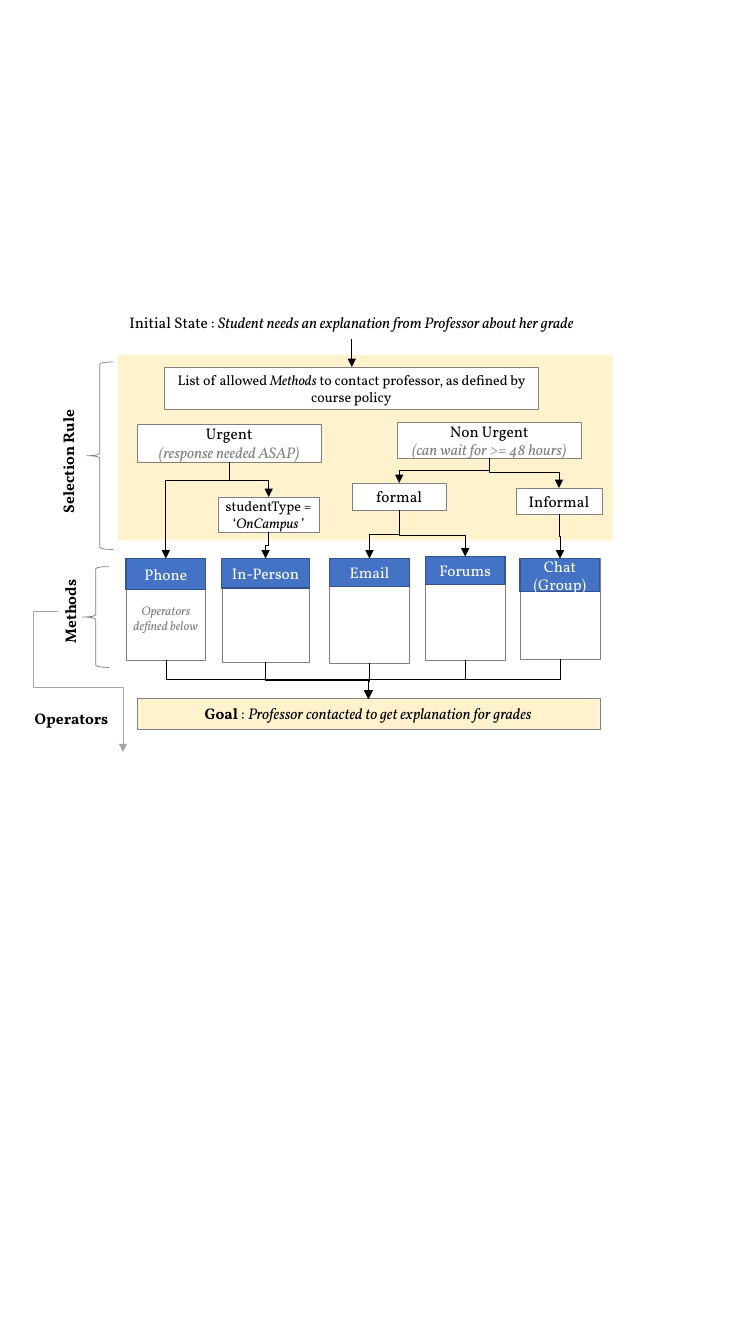
from dataclasses import dataclass
from lxml import etree
from pptx import Presentation
from pptx.dml.color import RGBColor
from pptx.enum.shapes import MSO_CONNECTOR, MSO_SHAPE
from pptx.enum.text import MSO_ANCHOR, PP_ALIGN
from pptx.oxml.ns import qn
from pptx.util import Inches, Pt

RECT, BRACE = MSO_SHAPE.RECTANGLE, MSO_SHAPE.RIGHT_BRACE
STRAIGHT, ELBOW = MSO_CONNECTOR.STRAIGHT, MSO_CONNECTOR.ELBOW
MIDDLE, CENTER = MSO_ANCHOR.MIDDLE, PP_ALIGN.CENTER


@dataclass(frozen=True)
class Theme:
    font: str = "Vollkorn"
    black: str = "000000"
    white: str = "FFFFFF"
    grey: str = "808080"
    pale: str = "A5A5A5"
    cream: str = "FFF2CC"
    blue: str = "4472C4"
    navy: str = "325491"
    body: float = 11
    small: float = 10
    note: float = 9
    thin: float = 0.25
    wire: float = 0.5
    edge: float = 1


class Diagram:
    def __init__(self, s, theme):
        self.s, self.t = s, theme

    def box(self, at, fill, line=None, width=None, rotation=0):
        sp = self.s.shapes.add_shape(RECT, *map(Inches, at))
        sp.shadow.inherit = False
        sp.rotation = rotation
        sp.fill.solid()
        sp.fill.fore_color.rgb = RGBColor.from_string(fill)
        if line:
            sp.line.color.rgb = RGBColor.from_string(line)
            sp.line.width = Pt(width or self.t.thin)
        else:
            sp.line.fill.background()
        return sp

    def set_text(self, sp, paragraphs, size=None, color=None, insets=(0, 0)):
        tf = sp.text_frame
        tf.word_wrap, tf.vertical_anchor = True, MIDDLE
        tf.margin_left = tf.margin_right = Inches(insets[0])
        tf.margin_top = tf.margin_bottom = Inches(insets[1])
        for i, runs in enumerate(paragraphs):
            p = tf.add_paragraph() if i else tf.paragraphs[0]
            p.alignment = CENTER
            styles = {style for _, style in runs}
            shade = self.t.grey if styles == {"note"} else color or self.t.black
            p.font.name, p.font.size = self.t.font, Pt(size or self.t.body)
            p.font.color.rgb = RGBColor.from_string(shade)
            for text, style in runs:
                r = p.add_run()
                r.text = text
                font = p.font if len(styles) == 1 else r.font
                font.bold = style == "bold"
                font.italic = style in ("italic", "note")
        return sp

    def card(self, at, *paragraphs, size=None, fill=None):
        sp = self.box(at, fill or self.t.white, self.t.grey)
        return self.set_text(sp, paragraphs, size)

    def label(self, at, *runs, rotation=0):
        return self.set_text(self.box(at, self.t.white, rotation=rotation), [runs])

    def method(self, name, left, top, width, height, head):
        body = self.box((left, top, width, height), self.t.white, self.t.grey)
        header = self.box((left, top, width, head), self.t.blue, self.t.navy, self.t.edge)
        self.set_text(header, [[(name, "")]], color=self.t.white, insets=(0.1, 0.05))
        self.s.shapes.add_group_shape([body, header])
        return body, header

    def brace(self, *at):
        sp = self.s.shapes.add_shape(BRACE, *map(Inches, at))
        sp.shadow.inherit = False
        sp.fill.background()
        sp.line.color.rgb = RGBColor.from_string(self.t.grey)
        sp.line.width = Pt(self.t.wire)
        sp.element.spPr.find(qn("a:xfrm")).set("flipH", "1")

    def arrow(self, kind, ends, color=None):
        c = self.s.shapes.add_connector(kind, *ends)
        c.line.color.rgb = RGBColor.from_string(color or self.t.black)
        c.line.width = Pt(self.t.wire)
        spPr = c.element.spPr
        etree.SubElement(spPr.find(qn("a:ln")), qn("a:tailEnd"), type="triangle")
        etree.SubElement(spPr, qn("a:effectLst"))
        return spPr

    def bend(self, spPr, *turns):
        geom = spPr.find(qn("a:prstGeom"))
        geom.set("prst", f"bentConnector{len(turns) + 2}")
        guides = geom.get_or_add_avLst()
        for i, turn in enumerate(turns, 1):
            etree.SubElement(guides, qn("a:gd"), name=f"adj{i}", fmla=f"val {round(turn * 100000)}")

    def drop(self, source, target, turn=0.5):
        x1, y1 = source.left + source.width // 2, source.top + source.height
        x2, y2 = target.left + target.width // 2, target.top
        run, fall = abs(x2 - x1), y2 - y1
        left, top = (x1 + x2 - fall) // 2, (y1 + y2 - run) // 2
        spPr = self.arrow(ELBOW, (left, top, left + fall, top + run))
        xfrm = spPr.find(qn("a:xfrm"))
        xfrm.set("rot", "16200000" if x2 > x1 else "5400000")
        if x2 > x1:
            xfrm.set("flipH", "1")
        self.bend(spPr, turn)


prs = Presentation()
prs.slide_width, prs.slide_height = Inches(7.5), Inches(13.33)
t = Theme()
d = Diagram(prs.slides.add_slide(prs.slide_layouts[6]), t)

d.box((1.17, 3.52, 4.91, 1.84), t.cream)
d.label((0.98, 3.03, 5.02, 0.33), ("Initial State : ", ""),
        ("Student needs an explanation from Professor about her grade", "italic"))
d.card((1.63, 3.64, 3.71, 0.42),
       [("List of allowed ", ""), ("Methods", "italic"),
        (" to contact professor, as defined by course policy", "")], size=t.small)
urgent = d.card((1.36, 4.21, 1.83, 0.37), [("Urgent", "")], [("(response needed ASAP)", "note")])
non_urgent = d.card((3.94, 4.19, 1.83, 0.35), [("Non Urgent", "")],
                    [("(can wait for >= 48 hours)", "note")])
formal = d.card((3.49, 4.79, 0.94, 0.27), [("formal", "")])
informal = d.card((5.12, 4.84, 0.85, 0.26), [("Informal", "")])
on_campus = d.card((2.16, 4.93, 1.01, 0.35),
                   [("studentType = ‘", ""), ("OnCampus ", "italic"), ("’", "")], size=t.small)
goal = d.card((1.36, 6.93, 4.59, 0.3),
              [("Goal", "bold"), (" : ", ""),
               ("Professor contacted to get explanation for grades", "italic")], fill=t.cream)

methods = [d.method(*row) for row in (
    ("Phone", 1.25, 5.54, 0.79, 1.01, 0.31),
    ("In-Person", 2.2, 5.54, 0.87, 1.03, 0.29),
    ("Email", 3.27, 5.54, 0.79, 1.04, 0.28),
    ("Forums", 4.22, 5.52, 0.79, 1.03, 0.28),
    ("Chat (Group)", 5.16, 5.54, 0.79, 1, 0.33),
)]
bodies, (phone, in_person, email, forum, chat) = zip(*methods)
d.set_text(bodies[0], [[("Operators defined below", "note")]], size=t.note)
bodies[0].text_frame.margin_top = Inches(0.17)

for source, target, turn in (
    (urgent, phone, 0.19), (urgent, on_campus, 0.53), (on_campus, in_person, 0.5),
    (non_urgent, formal, 0.5), (non_urgent, informal, 0.5),
    (formal, email, 0.5), (formal, forum, 0.54), (informal, chat, 0.5),
):
    d.drop(source, target, turn)
for body in bodies:
    d.drop(body, goal)

d.arrow(STRAIGHT, map(Inches, (3.49, 3.36, 3.49, 3.64)))
d.bend(d.arrow(ELBOW, map(Inches, (0.58, 6.06, 1.22, 7.46)), t.pale), -0.39, 0.54)

d.brace(0.86, 3.59, 0.26, 1.86)
d.brace(0.82, 5.62, 0.26, 1)
d.label((0.12, 4.46, 1.11, 0.23), ("Selection Rule", "bold"), rotation=270)
d.label((0.14, 5.95, 1.11, 0.23), ("Methods", "bold"), rotation=270)
d.label((0.31, 6.98, 0.8, 0.3), ("Operators", "bold"))

prs.save("out.pptx")
